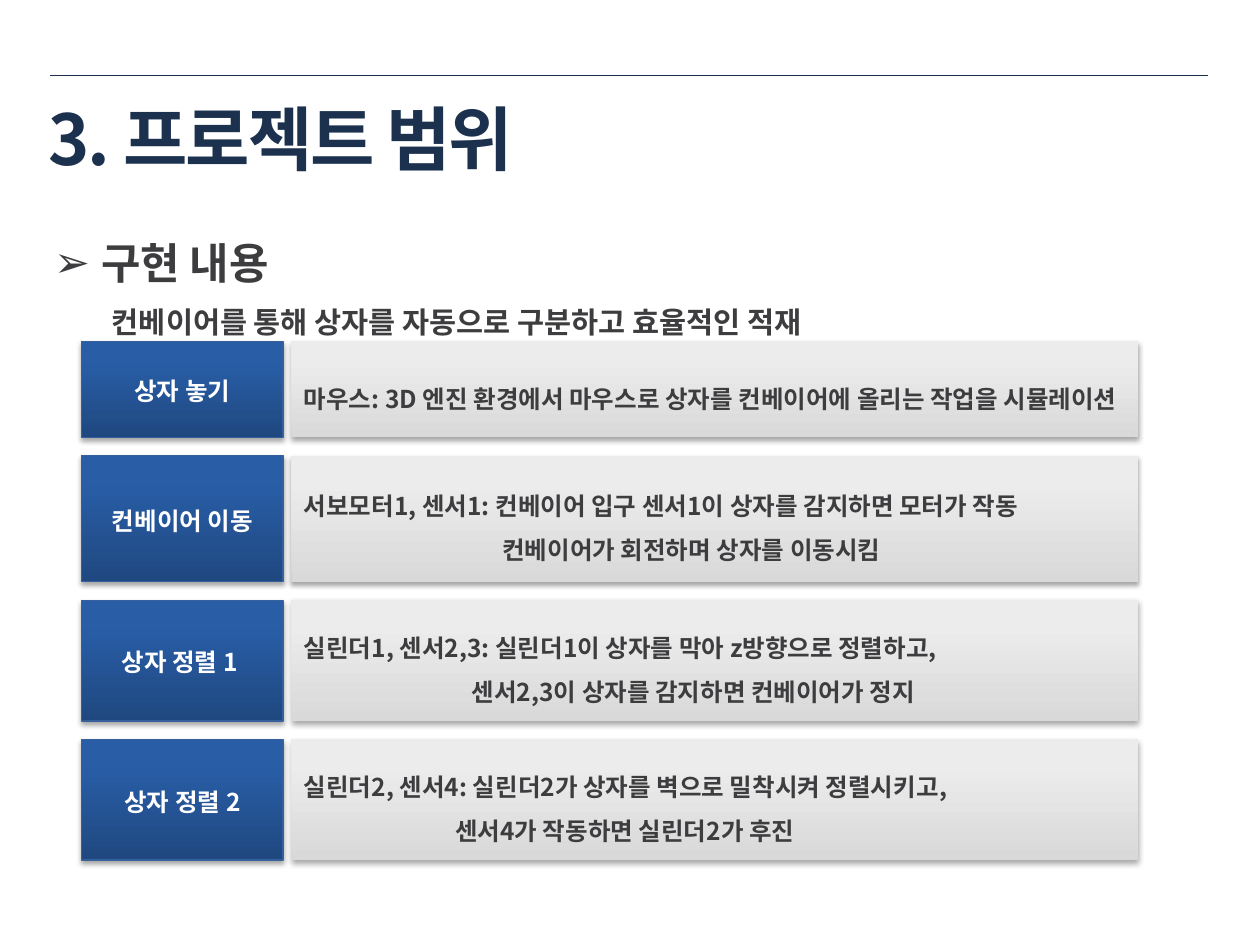
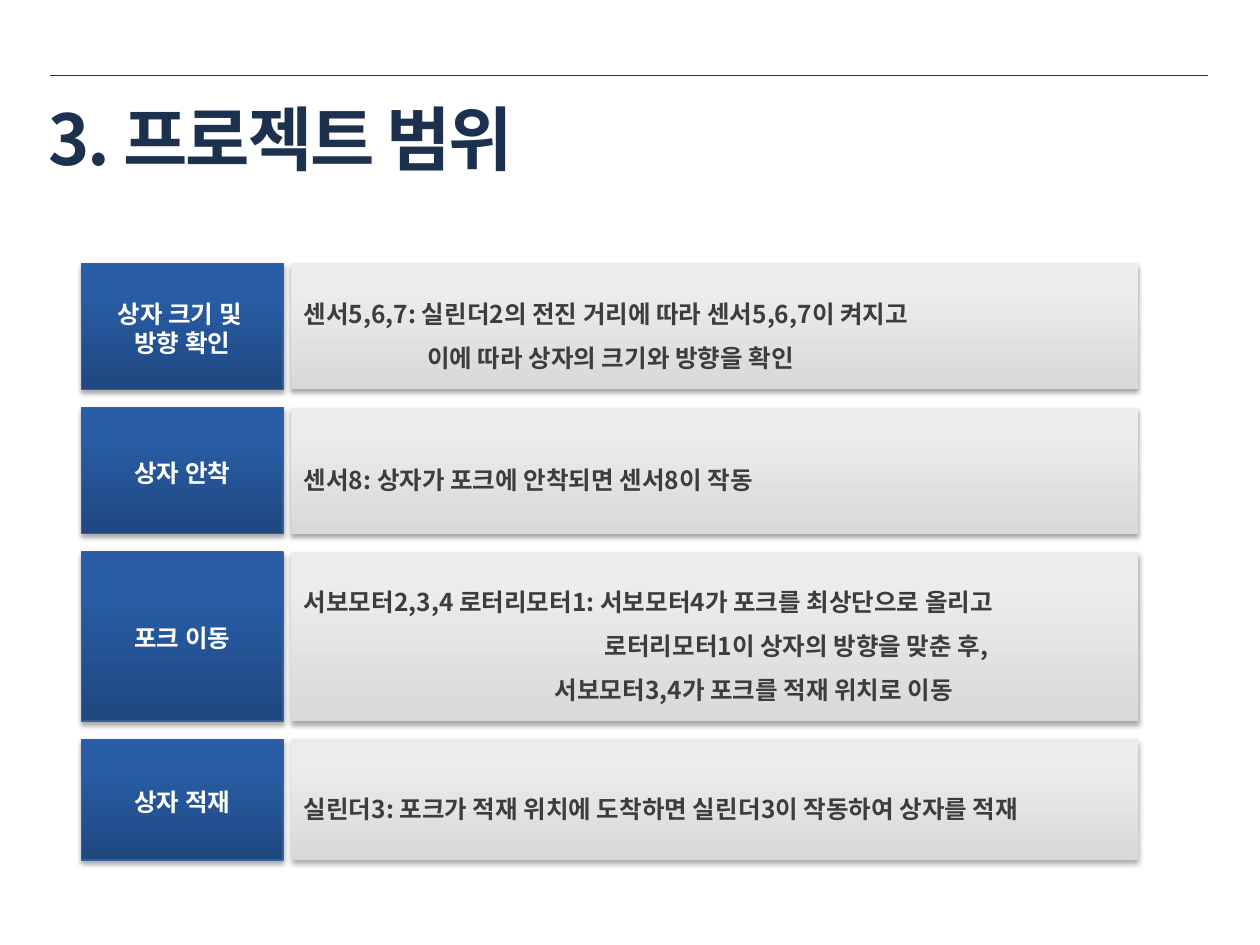
from lxml import etree
from pptx import Presentation
from pptx.dml.color import RGBColor
from pptx.enum import shapes, text
from pptx.oxml.ns import qn
from pptx.util import Pt

# Shared style
FONT = "Noto Sans CJK KR"
NAVY, DARK, WHITE = "1C314E", "3D3C3E", "FFFFFF"
BLUE_FADE = ("1F4880", "295EA7")
GREY_FADE = ("D9D9D9", "ECECEC")
BLUE_EDGE = "35609C"

# Row grid, in points
LABEL_LEFT, LABEL_WIDTH = 46.75, 115
DETAIL_LEFT, DETAIL_WIDTH = 166.5, 484
ROW_GAP = 10.5

# Each row: height, label lines, detail lines as (indent, text)
PLACING_ROWS = [
    (55, ["상자 놓기"],
     [(0, "마우스: 3D 엔진 환경에서 마우스로 상자를 컨베이어에 올리는 작업을 시뮬레이션")]),
    (72, ["컨베이어 이동"],
     [(0, "서보모터1, 센서1: 컨베이어 입구 센서1이 상자를 감지하면 모터가 작동"),
      (113.5, "컨베이어가 회전하며 상자를 이동시킴")]),
    (69, ["상자 정렬 1 "],
     [(0, "실린더1, 센서2,3: 실린더1이 상자를 막아 z방향으로 정렬하고,"),
      (96, "센서2,3이 상자를 감지하면 컨베이어가 정지")]),
    (69, ["상자 정렬 2"],
     [(0, "실린더2, 센서4: 실린더2가 상자를 벽으로 밀착시켜 정렬시키고,"),
      (86.5, "센서4가 작동하면 실린더2가 후진")]),
]
LOADING_ROWS = [
    (72, ["상자 크기 및 ", "방향 확인"],
     [(0, "센서5,6,7: 실린더2의 전진 거리에 따라 센서5,6,7이 켜지고"),
      (70.5, "이에 따라 상자의 크기와 방향을 확인")]),
    (72, ["상자 안착"],
     [(0, "센서8: 상자가 포크에 안착되면 센서8이 작동")]),
    (96.5, ["포크 이동"],
     [(0, "서보모터2,3,4 로터리모터1: 서보모터4가 포크를 최상단으로 올리고"),
      (172, "로터리모터1이 상자의 방향을 맞춘 후,"),
      (143.5, "서보모터3,4가 포크를 적재 위치로 이동")]),
    (69, ["상자 적재"],
     [(0, "실린더3: 포크가 적재 위치에 도착하면 실린더3이 작동하여 상자를 적재")]),
]


def rgb(value):
    return RGBColor.from_string(value)


def place(sp, left, top, width, height):
    sp.left, sp.top, sp.width, sp.height = map(Pt, (left, top, width, height))


def format_paragraph(p, size, color, line=None, align=text.PP_ALIGN.LEFT,
                     indent=0, hanging=0, bullet=None, spacing=0):
    p.alignment = align
    p.space_before = Pt(0)
    if line:
        p.line_spacing = Pt(line)
    p.font.name, p.font.size, p.font.bold = FONT, Pt(size), True
    p.font.color.rgb = rgb(color)
    pPr = p._p.get_or_add_pPr()
    pPr.set("marL", str(Pt(indent)))
    pPr.set("indent", str(Pt(-hanging)))
    # East Asian font and letter spacing
    defaults = pPr.find(qn("a:defRPr"))
    etree.SubElement(defaults, qn("a:ea"), typeface=FONT)
    if spacing:
        defaults.set("spc", str(int(spacing * 100)))
    # Bullet comes before the default run properties
    if bullet:
        mark = etree.Element(qn("a:buChar"), char=bullet)
    else:
        mark = etree.Element(qn("a:buNone"))
    defaults.addprevious(mark)


def add_lines(tf, lines):
    """Fill a frame with (text, format) pairs, one paragraph each."""
    for i, (line, style) in enumerate(lines):
        p = tf.paragraphs[0] if i == 0 else tf.add_paragraph()
        p.add_run().text = line
        format_paragraph(p, **style)


def add_shadow(sp):
    sp.shadow.inherit = False
    effects = sp._element.spPr.find(qn("a:effectLst"))
    shadow = etree.SubElement(effects, qn("a:outerShdw"), blurRad=str(Pt(3.1)),
                              dist=str(Pt(1.8)), dir="5400000", rotWithShape="0")
    black = etree.SubElement(shadow, qn("a:srgbClr"), val="000000")
    etree.SubElement(black, qn("a:alpha"), val="35000")


def add_panel(s, box, fade, lines, edge=None):
    sp = s.shapes.add_shape(shapes.MSO_SHAPE.RECTANGLE, *map(Pt, box))
    sp.fill.gradient()
    sp.fill.gradient_angle = 90
    for stop, position, color in zip(sp.fill.gradient_stops, (0, 0.8), fade):
        stop.position = position
        stop.color.rgb = rgb(color)
    if edge:
        sp.line.color.rgb = rgb(edge)
        sp.line.width = Pt(0.75)
    else:
        sp.line.fill.background()
    add_shadow(sp)
    tf = sp.text_frame
    tf.word_wrap = True
    tf.vertical_anchor = text.MSO_ANCHOR.MIDDLE
    tf.margin_top = Pt(5.5)
    add_lines(tf, lines)


def add_rows(s, top, rows):
    label_style = dict(size=14, color=WHITE, line=16.6, align=text.PP_ALIGN.CENTER)
    detail_style = dict(size=14, color=DARK, line=25.2)
    for height, label, details in rows:
        add_panel(s, (LABEL_LEFT, top, LABEL_WIDTH, height), BLUE_FADE,
                  [(line, label_style) for line in label], BLUE_EDGE)
        add_panel(s, (DETAIL_LEFT, top, DETAIL_WIDTH, height), GREY_FADE,
                  [(line, dict(detail_style, indent=indent)) for indent, line in details])
        top += height + ROW_GAP


def add_heading(s):
    body = s.placeholders[1]
    place(body, 23.75, 121, 641.5, 62.5)
    tf = body.text_frame
    tf.auto_size = text.MSO_AUTO_SIZE.NONE
    add_lines(tf, [
        ("구현 내용", dict(size=24.5, color=DARK, line=40, indent=27, hanging=27, bullet="➢")),
        ("컨베이어를 통해 상자를 자동으로 구분하고 효율적인 적재",
         dict(size=16.8, color=DARK, line=29.5, indent=33)),
    ])


def add_scope_slide(prs, layout):
    s = prs.slides.add_slide(prs.slide_layouts[layout])
    # Top rule
    rule = s.shapes.add_connector(shapes.MSO_CONNECTOR.STRAIGHT,
                                  Pt(28.75), Pt(43), Pt(690.5), Pt(43))
    rule.line.color.rgb = rgb(NAVY)
    rule.line.width = Pt(0.25)
    etree.SubElement(rule._element.spPr, qn("a:effectLst"))
    # Title
    title = s.shapes.title
    place(title, 20.25, 55.5, 551, 46)
    tf = title.text_frame
    tf.auto_size = text.MSO_AUTO_SIZE.NONE
    tf.vertical_anchor = text.MSO_ANCHOR.MIDDLE
    add_lines(tf, [("3. 프로젝트 범위", dict(size=40, color=NAVY, spacing=-1.2))])
    return s


def main():
    prs = Presentation()
    prs.slide_width, prs.slide_height = Pt(720), Pt(540)

    # Placing and aligning boxes
    s = add_scope_slide(prs, layout=1)
    add_heading(s)
    add_rows(s, 195, PLACING_ROWS)

    # Checking and loading boxes
    s = add_scope_slide(prs, layout=5)
    add_rows(s, 150.5, LOADING_ROWS)

    prs.save("out.pptx")


if __name__ == "__main__":
    main()
